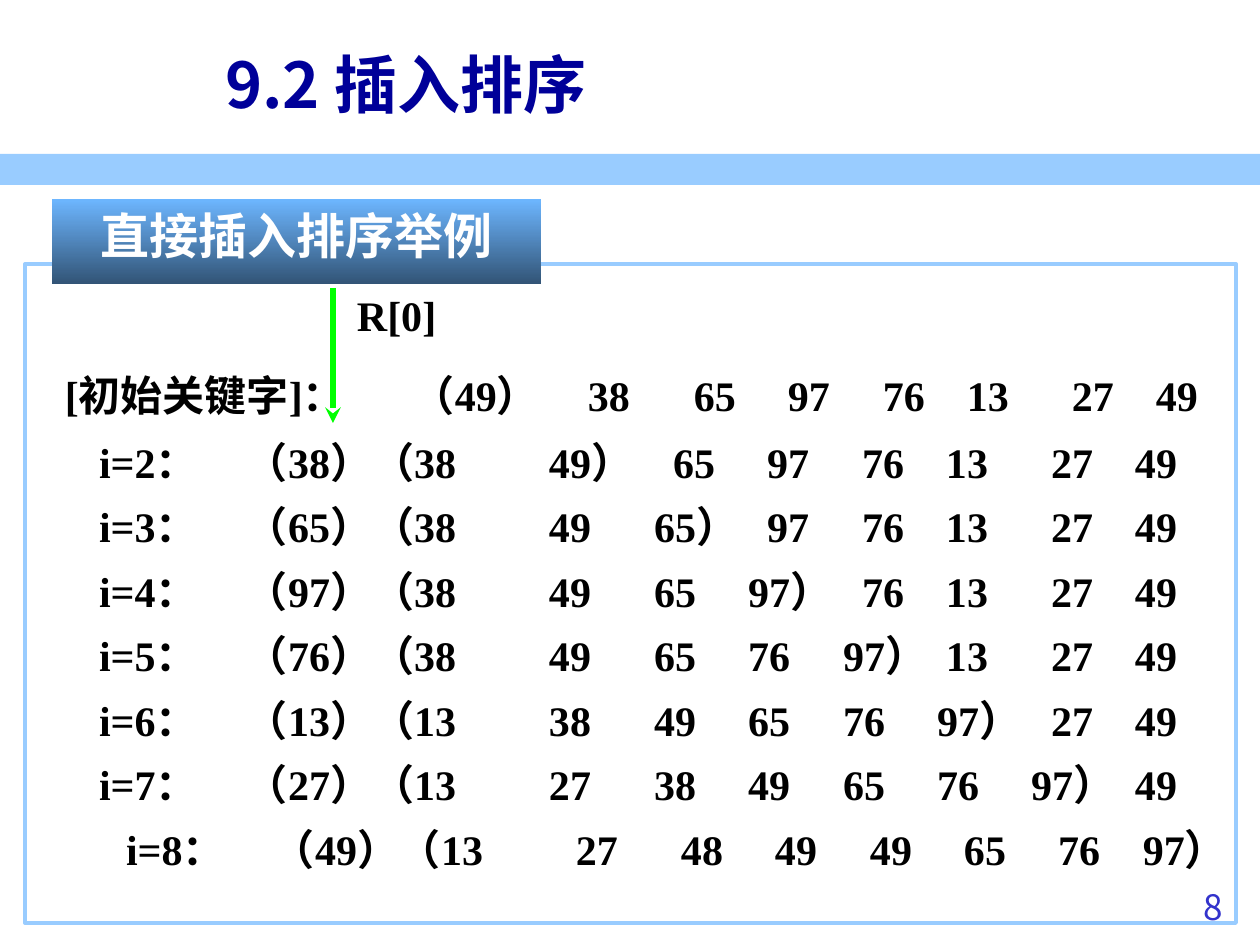
from lxml.etree import SubElement
from pptx import Presentation
from pptx.dml.color import RGBColor
from pptx.enum.shapes import MSO_CONNECTOR, MSO_SHAPE
from pptx.enum.text import MSO_ANCHOR, PP_ALIGN
from pptx.oxml.ns import qn
from pptx.util import Emu, Pt

PX = 914400 // 126
SANS = "Noto Sans CJK SC"
SANS_KR = "Noto Sans CJK KR"
SERIF = "Times New Roman"
COLORS = {
    "band": "99CCFF", "title": "000099", "number": "3333CC", "text": "000000",
    "arrow": "00FF00", "banner_top": "6DB6FF", "banner_bottom": "325476",
    "banner_text": "FFFFFF",
}

# Left edges of the numbers, before and after they join the sorted part
SORTED_X = [444, 549, 654, 748, 843, 937, 1031, 1116]
UNSORTED_X = [462, 567, 673, 767, 862, 946, 1051, 1135]
LABEL_X, KEY_X, FIRST_X = 99, 246, 392
INSET_X, INSET_Y = 13, 6

KEYS = "49 38 65 97 76 13 27 49".split()
STEPS = [
    ("38", "38 49"),
    ("65", "38 49 65"),
    ("97", "38 49 65 97"),
    ("76", "38 49 65 76 97"),
    ("13", "13 38 49 65 76 97"),
    ("27", "13 27 38 49 65 76 97"),
    ("49", "13 27 48 49 49 65 76 97"),
]


def px(value):
    return Emu(value * PX)


def color(name):
    return RGBColor.from_string(COLORS[name])


def write(shape, text, size=24, font=SERIF, ink="text", bold=True,
          align=PP_ALIGN.LEFT, anchor=MSO_ANCHOR.TOP, left=INSET_X, tabs=()):
    frame = shape.text_frame
    frame.word_wrap = True
    frame.vertical_anchor = anchor
    frame.margin_left, frame.margin_right = px(left), px(INSET_X)
    frame.margin_top = frame.margin_bottom = px(INSET_Y)
    paragraph = frame.paragraphs[0]
    paragraph.alignment = align
    if tabs:
        tab_list = SubElement(paragraph._p.get_or_add_pPr(), qn("a:tabLst"))
        for position in tabs:
            SubElement(tab_list, qn("a:tab"), pos=str(px(position)), algn="l")
    run = paragraph.add_run()
    run.text = text
    run.font.name, run.font.size, run.font.bold = font, Pt(size), bold
    run.font.color.rgb = color(ink)
    east_asian = SANS if font == SERIF else font
    SubElement(run._r.get_or_add_rPr(), qn("a:ea"), typeface=east_asian)


def add_text(slide, text, x, y, width, height, **text_format):
    box = slide.shapes.add_textbox(px(x), px(y), px(width), px(height))
    write(box, text, **text_format)


def add_box(slide, x, y, width, height, fill=None, line=None):
    shape = slide.shapes.add_shape(
        MSO_SHAPE.RECTANGLE, px(x), px(y), px(width), px(height))
    shape.shadow.inherit = False
    if fill:
        shape.fill.solid()
        shape.fill.fore_color.rgb = color(fill)
    else:
        shape.fill.background()
    if line:
        shape.line.color.rgb = color(line)
        shape.line.width = Pt(2.25)
    else:
        shape.line.fill.background()
    return shape


def add_banner(slide, text, x, y, width, height):
    banner = add_box(slide, x, y, width, height)
    banner.fill.gradient()
    banner.fill.gradient_angle = 270
    for stop, name in zip(banner.fill.gradient_stops,
                          ("banner_top", "banner_bottom")):
        stop.color.rgb = color(name)
    write(banner, text, size=28, font=SANS_KR, ink="banner_text",
          align=PP_ALIGN.CENTER)


def add_arrow(slide, x, top, bottom):
    arrow = slide.shapes.add_connector(
        MSO_CONNECTOR.STRAIGHT, px(x), px(top), px(x), px(bottom))
    arrow.line.color.rgb = color("arrow")
    arrow.line.width = Pt(3)
    SubElement(arrow.line._get_or_add_ln(), qn("a:tailEnd"), type="stealth")
    SubElement(arrow._element.spPr, qn("a:effectLst"))


def add_row(slide, label, key, ordered, y, x=LABEL_X - INSET_X,
            inset=INSET_X, shift=0, width=1166):
    """One pass of the sort: label, key, sorted part, remaining keys."""
    count = len(ordered)
    key_text = f"（{key}）" if key else ""
    numbers = "\t".join(ordered)
    text = "\t".join([f"{label}：", f"{key_text}（{numbers}）", *KEYS[count:]])
    stops = [KEY_X if key else FIRST_X, *SORTED_X[1:count], *UNSORTED_X[count:]]
    tabs = [stop + shift - x - inset for stop in stops]
    add_text(slide, text, x, y, width, 63, left=inset, tabs=tabs)


def main():
    presentation = Presentation()
    presentation.slide_width, presentation.slide_height = px(1260), px(945)
    slide = presentation.slides.add_slide(presentation.slide_layouts[6])

    # Heading, page number and frame
    add_box(slide, 0, 154, 1261, 31, fill="band")
    add_text(slide, "8", 1116, 880, 120, 65, size=20, font=SANS,
             ink="number", bold=False, align=PP_ALIGN.RIGHT)
    add_box(slide, 25, 264, 1211, 659, line="band")
    add_text(slide, "9.2 插入排序", 212, 26, 1032, 115, size=36, font=SANS,
             ink="title", anchor=MSO_ANCHOR.MIDDLE)

    # Pointer to the sentinel column
    add_arrow(slide, 333, 288, 423)
    add_text(slide, "R[0]", 344, 284, 126, 63)

    # Initial keys, then one row for each pass
    add_row(slide, "[初始关键字]", None, KEYS[:1], 364, x=31, inset=34,
            shift=21, width=1228)
    for index, (key, ordered) in enumerate(STEPS):
        shift = 27 if index == len(STEPS) - 1 else 0
        add_row(slide, f"i={index + 2}", key, ordered.split(),
                431 + index * 129 // 2, x=LABEL_X - INSET_X + shift,
                shift=shift)

    add_banner(slide, "直接插入排序举例", 52, 199, 489, 85)
    presentation.save("out.pptx")


if __name__ == "__main__":
    main()
